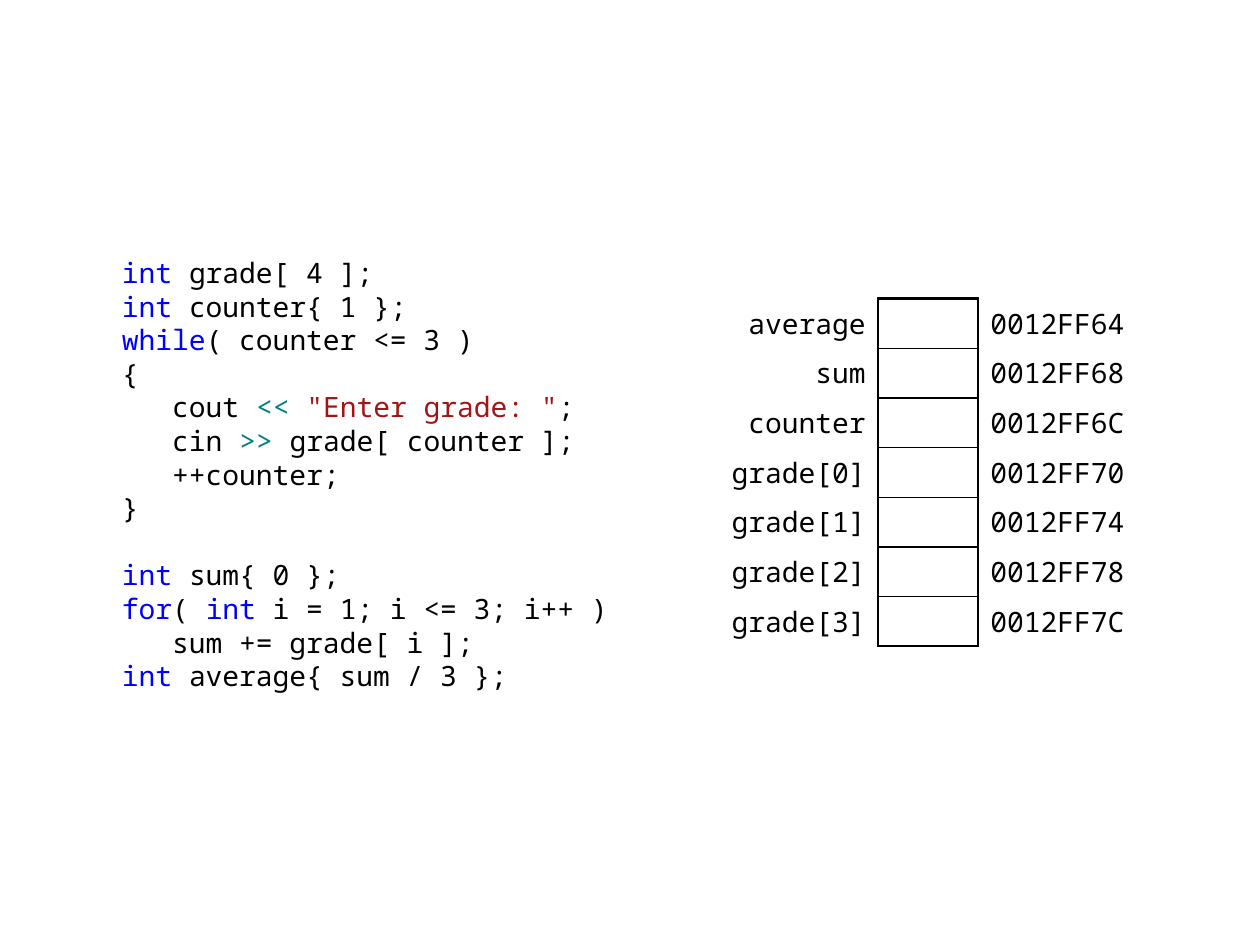
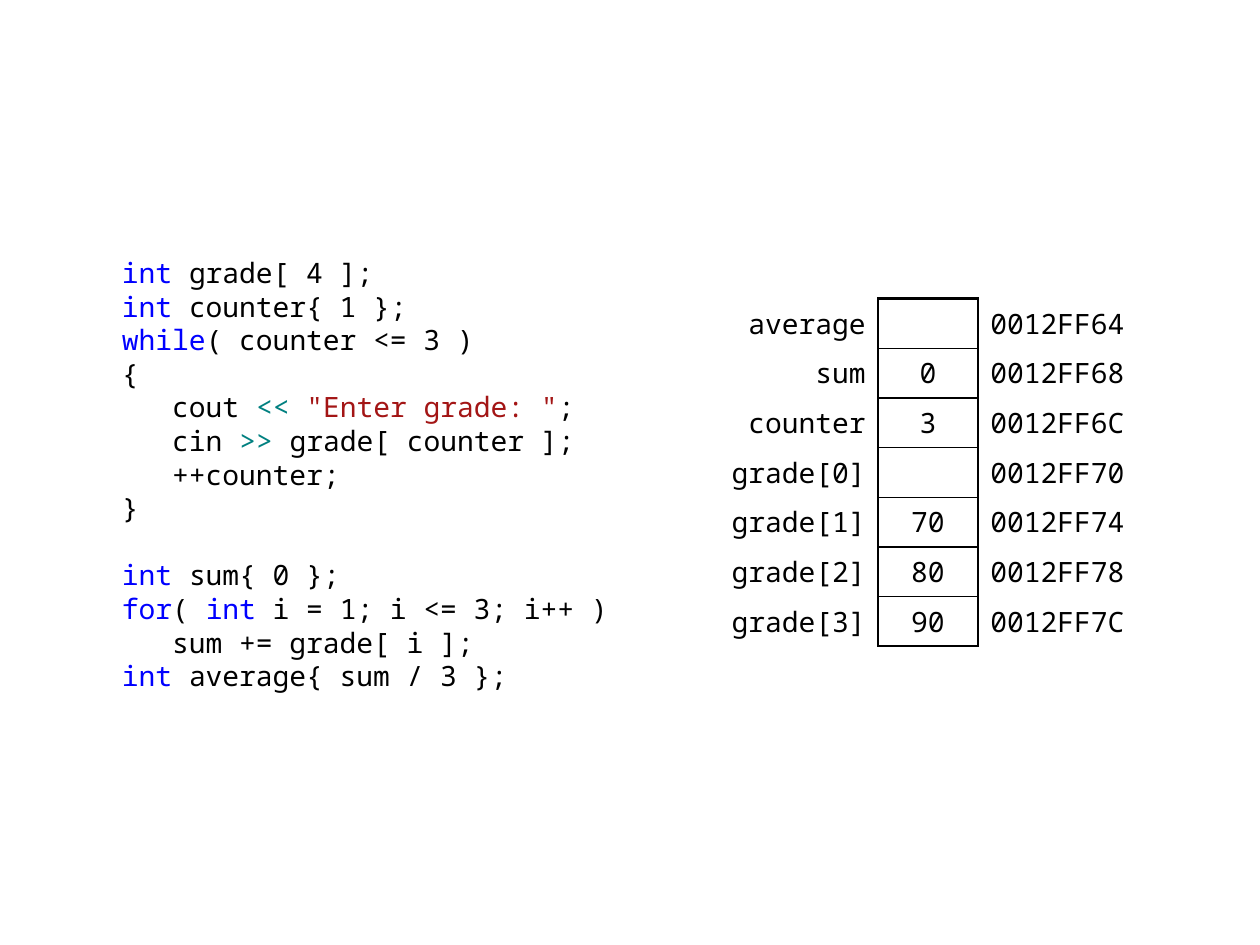
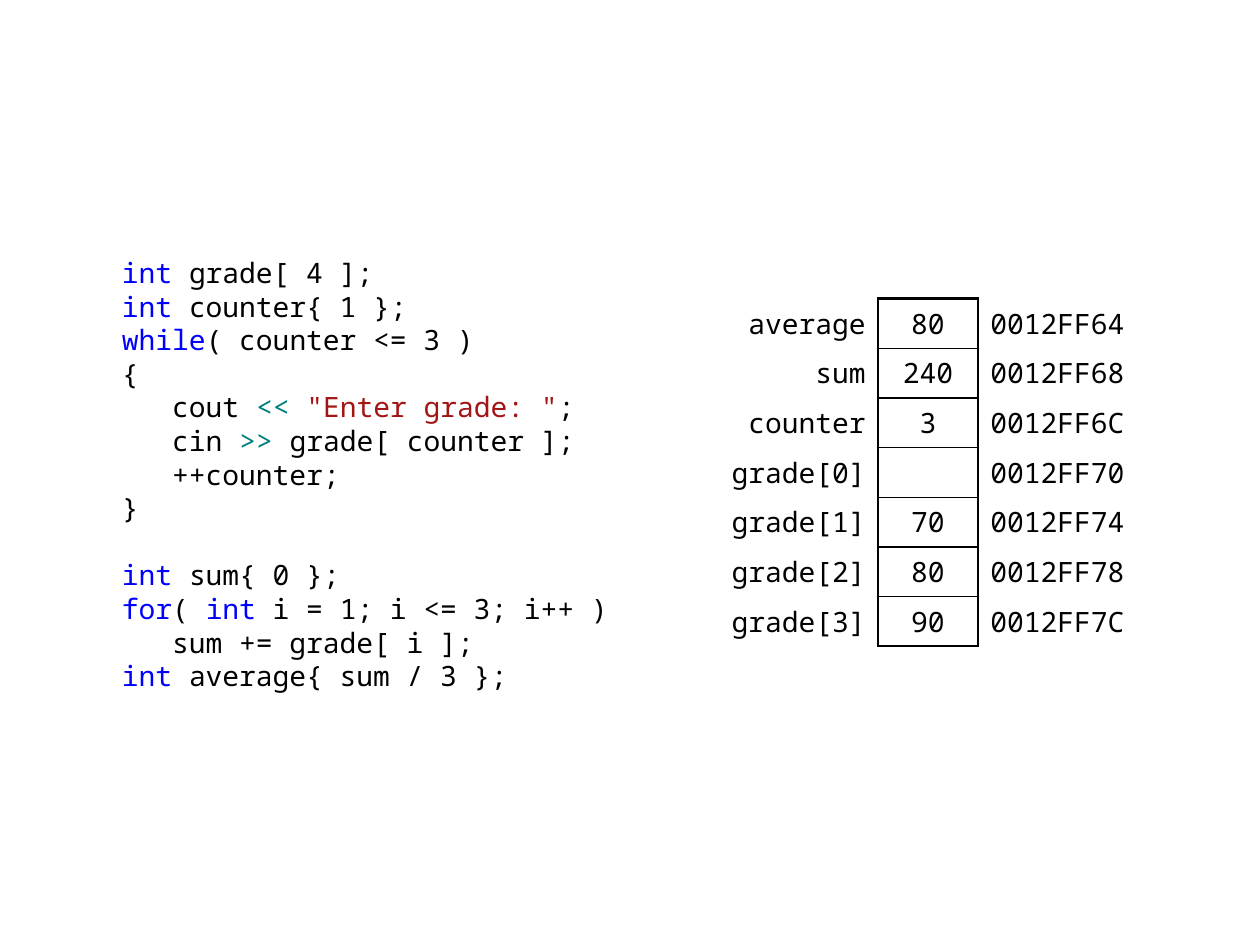
from typing import NamedTuple

from lxml.etree import SubElement
from pptx import Presentation
from pptx.dml.color import RGBColor
from pptx.enum.text import MSO_ANCHOR as Anchor, PP_ALIGN as Align
from pptx.oxml.ns import qn
from pptx.slide import Slide
from pptx.table import _Cell as Cell
from pptx.text.text import _Paragraph as Paragraph
from pptx.util import Inches, Pt

COLORS = {
    "plain": "000000",
    "keyword": "0000FF",
    "operator": "008080",
    "string": "A31515",
}
FONT = "Noto Sans Mono"
FONT_SIZE = Pt(16)
LINE_PITCH = Pt(19.2)
OUTER, INNER = 1.5, 1.0
NO_STYLE_NO_GRID = "{2D5ABB26-0587-4C30-8999-92F81FD0307C}"


class Token(NamedTuple):
    text: str
    role: str = "plain"


class Variable(NamedTuple):
    name: str
    address: str


INT = Token("int ", "keyword")
DECLARATIONS_AND_INPUT = [
    [INT, Token("grade[ 4 ];")],
    [INT, Token("counter{ 1 };")],
    [Token("while", "keyword"), Token("( counter <= 3 )")],
    [Token("{")],
    [Token("   cout "), Token("<< ", "operator"),
     Token('"Enter grade: "', "string"), Token(";")],
    [Token("   cin "), Token(">>", "operator"), Token(" grade[ counter ];")],
    [Token("   ++counter;")],
    [Token("}")],
]
AVERAGING = [
    [INT, Token("sum{ 0 };")],
    [Token("for", "keyword"), Token("( "), Token("int", "keyword"),
     Token(" i = 1; i <= 3; i++ )")],
    [Token("   sum += grade[ i ];")],
    [INT, Token("average{ sum / 3 };")],
]

VARIABLES = [
    Variable("average", "0012FF64"),
    Variable("sum", "0012FF68"),
    Variable("counter", "0012FF6C"),
    Variable("grade[0]", "0012FF70"),
    Variable("grade[1]", "0012FF74"),
    Variable("grade[2]", "0012FF78"),
    Variable("grade[3]", "0012FF7C"),
]
MEMORY_STATES = [
    ["", "", "", "", "", "", ""],
    ["", "0", "3", "", "70", "80", "90"],
    ["80", "240", "3", "", "70", "80", "90"],
]
COLUMN_WIDTHS = [Inches(1.38), Inches(0.79), Inches(1.38)]


def set_font(paragraph: Paragraph) -> None:
    paragraph.font.name = FONT
    paragraph.font.size = FONT_SIZE


def add_code(slide: Slide) -> None:
    listing = slide.shapes.add_textbox(
        Inches(0.87), Inches(1.98), Inches(4.13), Inches(3.54)).text_frame
    listing.word_wrap = True
    for number, line in enumerate(DECLARATIONS_AND_INPUT + AVERAGING):
        paragraph = listing.add_paragraph() if number else listing.paragraphs[0]
        set_font(paragraph)
        paragraph.line_spacing = LINE_PITCH
        if line is AVERAGING[0]:
            paragraph.space_before = LINE_PITCH
        for token in line:
            run = paragraph.add_run()
            run.text = token.text
            run.font.color.rgb = RGBColor.from_string(COLORS[token.role])


def set_borders(cell: Cell, **widths: float) -> None:
    """Draw the sides named L, R, T, B, in that order, with widths in points."""
    properties = cell._tc.get_or_add_tcPr()
    for position, (side, width) in enumerate(widths.items()):
        border = SubElement(properties, qn(f"a:ln{side}"), w=str(Pt(width)))
        fill = SubElement(border, qn("a:solidFill"))
        SubElement(fill, qn("a:srgbClr"), val=COLORS["plain"])
        properties.insert(position, border)


def fill_cell(cell: Cell, text: str, align: Align) -> None:
    cell.fill.background()
    cell.vertical_anchor = Anchor.MIDDLE
    cell.margin_top = cell.margin_bottom = Inches(0.04)
    paragraph = cell.text_frame.paragraphs[0]
    paragraph.text = text
    paragraph.alignment = align
    set_font(paragraph)
    paragraph.font.color.rgb = RGBColor.from_string(COLORS["plain"])


def add_memory(slide: Slide, values: list[str]) -> None:
    memory = slide.shapes.add_table(
        len(VARIABLES), len(COLUMN_WIDTHS),
        Inches(5.59), Inches(2.37), sum(COLUMN_WIDTHS), Inches(2.76)).table
    memory.first_row = memory.horz_banding = False
    memory._tbl.tblPr.find(qn("a:tableStyleId")).text = NO_STYLE_NO_GRID
    for column, width in zip(memory.columns, COLUMN_WIDTHS):
        column.width = width

    last = len(VARIABLES) - 1
    for row, (variable, value) in enumerate(zip(VARIABLES, values)):
        name, content, address = (memory.cell(row, column) for column in range(3))
        fill_cell(name, variable.name, Align.RIGHT)
        fill_cell(content, value, Align.CENTER)
        fill_cell(address, variable.address, Align.LEFT)
        address.margin_right = Inches(0.08)
        set_borders(name, R=OUTER)
        set_borders(content, L=OUTER, R=OUTER,
                    T=INNER if row else OUTER,
                    B=INNER if row < last else OUTER)
        set_borders(address, L=OUTER)


def main() -> None:
    deck = Presentation()
    deck.slide_width, deck.slide_height = Inches(10), Inches(7.5)
    blank = deck.slide_layouts[6]
    for values in MEMORY_STATES:
        slide = deck.slides.add_slide(blank)
        add_code(slide)
        add_memory(slide, values)
    deck.save("out.pptx")


if __name__ == "__main__":
    main()
